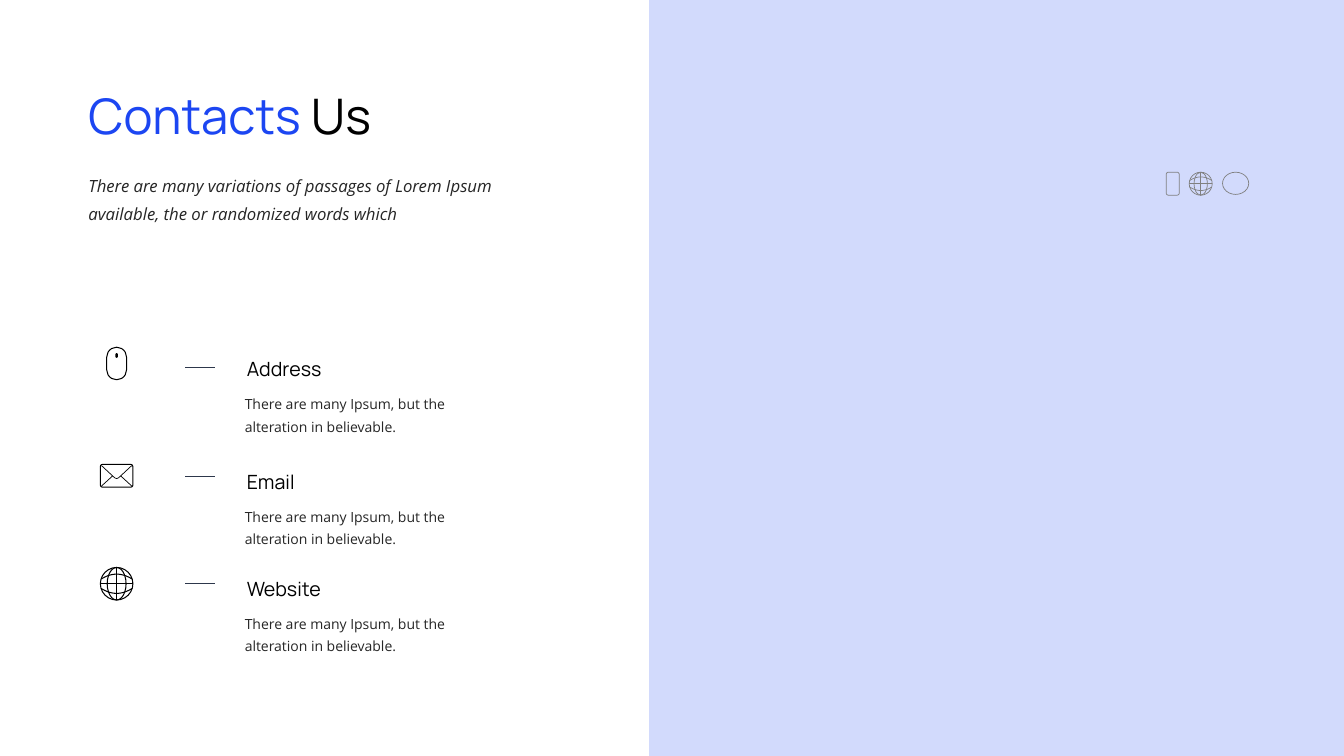
import pptx
import pptx.dml.color
import pptx.enum.shapes
import pptx.enum.text
import pptx.oxml
import pptx.util
from pptx.util import Cm

SHAPES = pptx.enum.shapes.MSO_SHAPE
ANCHORS = pptx.enum.text.MSO_ANCHOR
BLACK, GRAY, INK, BLUE = "000000", "808080", "262626", "1C46F2"
RULE_COLOR, PANEL_COLOR = "2D374B", "D2DAFC"
HEADING_FONT, BODY_FONT = "Manrope", "Open Sans"


def rgb(value):
    return pptx.dml.color.RGBColor.from_string(value)


def write_text(shape, paragraphs, font, size, spacing, color=INK, italic=False,
               anchor=ANCHORS.TOP, inset=True):
    """Fill a shape with paragraphs, each a list of (text, colour or None) runs."""
    frame = shape.text_frame
    frame.word_wrap = True
    frame.auto_size = pptx.enum.text.MSO_AUTO_SIZE.NONE
    frame.vertical_anchor = anchor
    frame.margin_left = frame.margin_right = Cm(0.25 if inset else 0)
    frame.margin_top = frame.margin_bottom = Cm(0.13 if inset else 0)
    for index, runs in enumerate(paragraphs):
        para = frame.add_paragraph() if index else frame.paragraphs[0]
        para.alignment = pptx.enum.text.PP_ALIGN.LEFT
        para.line_spacing = pptx.util.Pt(spacing)
        for text, run_color in runs:
            span = para.add_run()
            span.text = text
            span.font.name = font
            span.font.size = pptx.util.Pt(size)
            span.font.italic = italic
            span.font.color.rgb = rgb(run_color or color)


def add_text(page, left, top, width, height, paragraphs, **text_format):
    box = page.shapes.add_textbox(Cm(left), Cm(top), Cm(width), Cm(height))
    write_text(box, paragraphs, **text_format)


def style(shape, fill=None, line=None, weight=0.75):
    shape.shadow.inherit = False
    if fill:
        shape.fill.solid()
        shape.fill.fore_color.rgb = rgb(fill)
    else:
        shape.fill.background()
    if line:
        shape.line.color.rgb = rgb(line)
        shape.line.width = pptx.util.Pt(weight)
    else:
        shape.line.fill.background()


def add_preset(page, kind, left, top, width, height, **look):
    shape = page.shapes.add_shape(kind, Cm(left), Cm(top), Cm(width), Cm(height))
    style(shape, **look)
    return shape


def add_rule(page, start, end, color, weight):
    rule = page.shapes.add_connector(pptx.enum.shapes.MSO_CONNECTOR.STRAIGHT,
                                     *map(Cm, start + end))
    rule.line.color.rgb = rgb(color)
    rule.line.width = pptx.util.Pt(weight)
    rule._element.spPr.append(pptx.oxml.parse_xml(
        '<a:effectLst xmlns:a="http://schemas.openxmlformats.org/drawingml/2006/main"/>'))


def add_outline(page, points, **look):
    corners = [(Cm(x), Cm(y)) for x, y in points]
    builder = page.shapes.build_freeform(*corners[0])
    builder.add_line_segments(corners[1:], close=False)
    style(builder.convert_to_shape(), **look)


def draw_globe(page, middle_x, middle_y, size, color=BLACK, weight=0.75):
    radius = size / 2
    top = middle_y - radius
    for width in (size, size * 0.58):
        add_preset(page, SHAPES.OVAL, middle_x - width / 2, top, width, size,
                   line=color, weight=weight)
    add_rule(page, (middle_x - radius, middle_y), (middle_x + radius, middle_y),
             color, weight)
    add_rule(page, (middle_x, top), (middle_x, top + size), color, weight)
    for side in (-1, 1):
        parallel = []
        for step in range(-8, 9):
            across = step / 8
            height = 0.59 - 0.3 * across ** 2
            parallel.append((middle_x + 0.95 * radius * across,
                             middle_y + side * radius * height))
        add_outline(page, parallel, line=color, weight=weight)


def draw_mouse(page, middle_x, middle_y, size):
    width = size * 0.61
    body = add_preset(page, SHAPES.ROUNDED_RECTANGLE, middle_x - width / 2,
                      middle_y - size / 2, width, size, line=BLACK)
    body.adjustments[0] = 0.5
    wheel = add_preset(page, SHAPES.ROUNDED_RECTANGLE, middle_x - 0.03,
                       middle_y - size * 0.32, 0.06, 0.12, fill=BLACK)
    wheel.adjustments[0] = 0.5


def draw_envelope(page, middle_x, middle_y, size):
    half_width, half_height = size / 2, size * 0.35
    left, right = middle_x - half_width, middle_x + half_width
    top, bottom = middle_y - half_height, middle_y + half_height
    cover = add_preset(page, SHAPES.ROUNDED_RECTANGLE, left, top, size,
                       2 * half_height, line=BLACK)
    cover.adjustments[0] = 0.1
    flap = [(left + 0.03, top + 0.03), (middle_x - 0.05, middle_y + 0.05),
            (middle_x, middle_y + 0.07), (middle_x + 0.05, middle_y + 0.05),
            (right - 0.03, top + 0.03)]
    add_outline(page, flap, line=BLACK, weight=0.5)
    for edge, side in ((left, -1), (right, 1)):
        add_rule(page, (edge - side * 0.03, bottom - 0.03),
                 (middle_x + side * 0.1, middle_y), BLACK, 0.5)


def build_heading(page, left, top):
    title = page.shapes.title
    title.left, title.top, title.width, title.height = map(Cm, (left, top, 10.46, 1.8))
    write_text(title, [[("Contacts", BLUE), (" Us", BLACK)]],
               font=HEADING_FONT, size=35, spacing=45)
    intro = ("There are many variations of passages of Lorem Ipsum available, "
             "the or randomized words which")
    add_text(page, left, top + 2.18, 10.85, 1.63, [[(intro, None)]],
             font=BODY_FONT, size=12, spacing=20, italic=True)


def build_contact(page, left, top, name, draw_icon, rule_drop, icon_drop):
    """Place one contact row; the drops are measured from its top."""
    draw_icon(page, left + 0.43, top + icon_drop, 0.82)
    add_rule(page, (left + 2.16, top + rule_drop), (left + 2.92, top + rule_drop),
             RULE_COLOR, 0.5)
    add_text(page, left + 3.71, top, 3.96, 0.69, [[(name, None)]], font=HEADING_FONT,
             size=14, spacing=20, color=BLACK, anchor=ANCHORS.MIDDLE, inset=False)
    details = ["There are many Ipsum, but the", "alteration in believable."]
    add_text(page, left + 3.41, top + 0.81, 6.5, 1.35,
             [[(line, None)] for line in details], font=BODY_FONT, size=10, spacing=16)


def build_panel(page, left, width, height):
    add_preset(page, SHAPES.RECTANGLE, left, 0, width, height, fill=PANEL_COLOR)
    icon_left, icon_top = left + 13.03, 4.34
    add_preset(page, SHAPES.ROUNDED_RECTANGLE, icon_left, icon_top, 0.33, 0.58,
               line=GRAY, weight=0.5)
    draw_globe(page, icon_left + 0.87, icon_top + 0.29, 0.58, GRAY, 0.5)
    add_preset(page, SHAPES.OVAL, icon_left + 1.42, icon_top, 0.66, 0.56,
               line=GRAY, weight=0.5)


def main():
    deck = pptx.Presentation()
    deck.slide_width, deck.slide_height = Cm(33.87), Cm(19.05)
    page = deck.slides.add_slide(deck.slide_layouts[5])
    build_panel(page, 16.36, 17.51, 19.05)
    build_heading(page, 1.98, 1.93)
    contacts = [
        (8.89, "Address", draw_mouse, 0.37, 0.27),
        (11.73, "Email", draw_envelope, 0.28, 0.26),
        (14.43, "Website", draw_globe, 0.28, 0.28),
    ]
    for top, *contact in contacts:
        build_contact(page, 2.51, top, *contact)
    deck.save("out.pptx")


if __name__ == "__main__":
    main()
